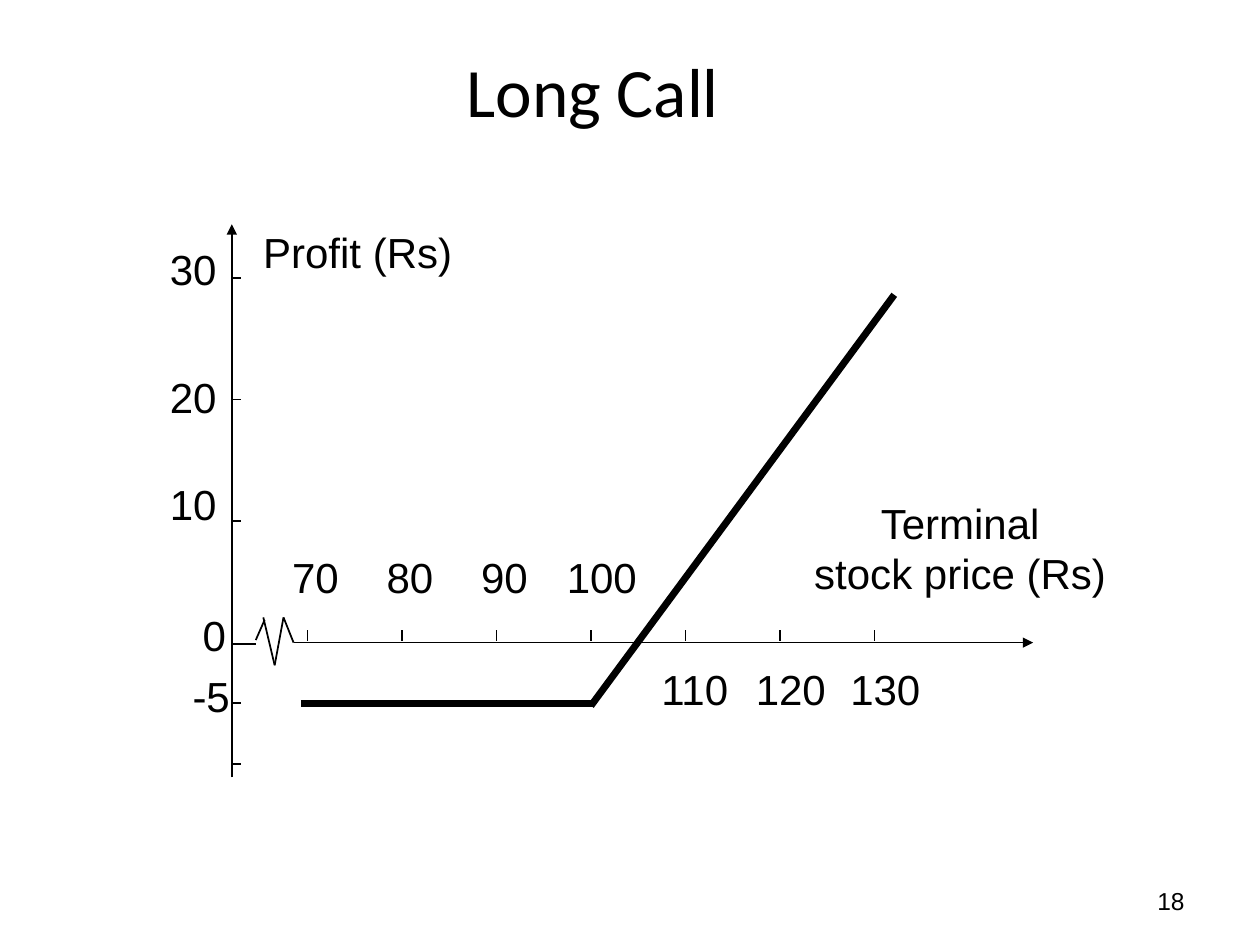
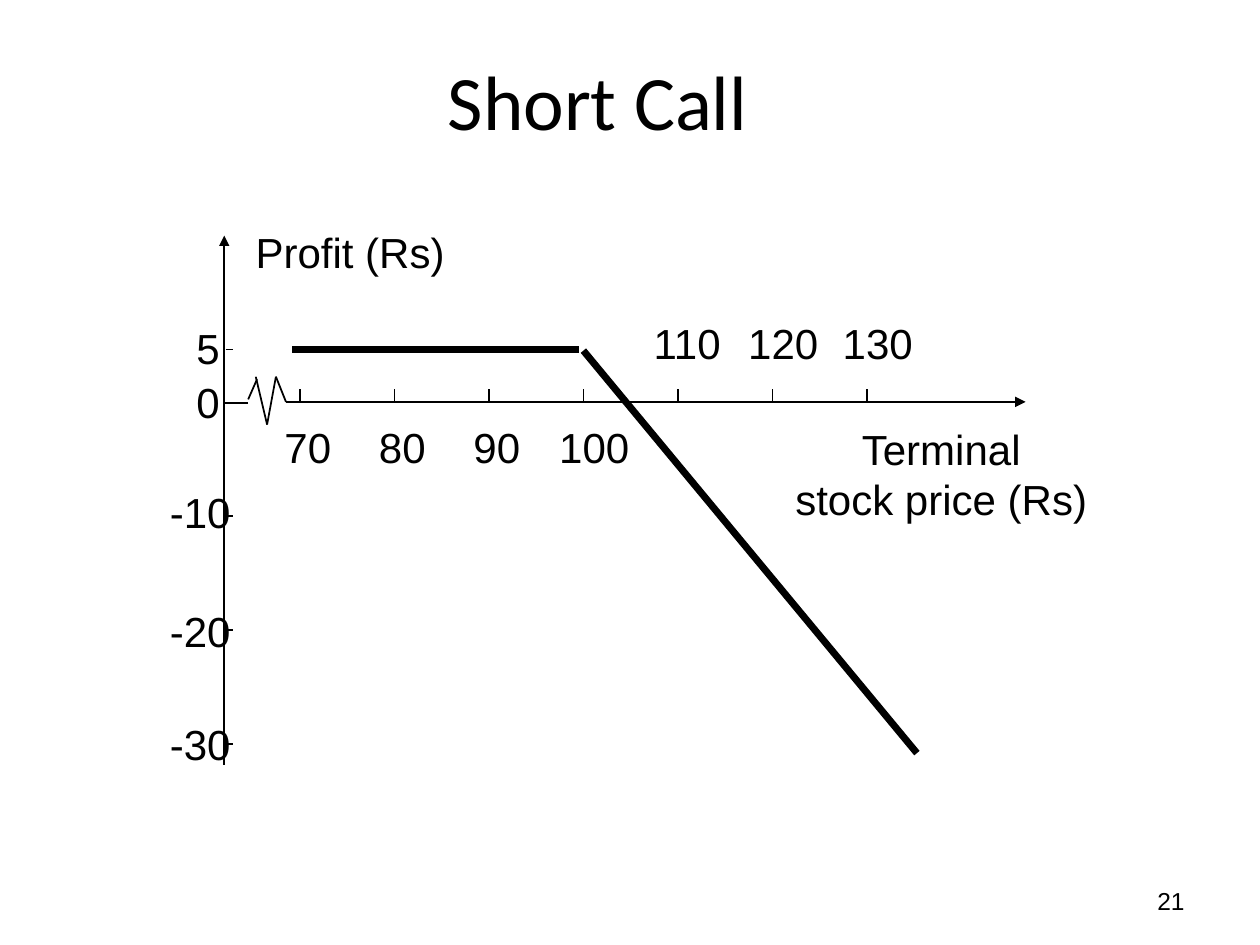
import dataclasses
import pptx
import pptx.util
import pptx.dml.color
import pptx.enum.shapes
import pptx.enum.text
import pptx.oxml.ns
import lxml.etree

ALIGN = pptx.enum.text.PP_ALIGN
ANCHOR = pptx.enum.text.MSO_ANCHOR


@dataclasses.dataclass(frozen=True)
class Theme:
    ink: str = "000000"
    paper: str = "FFFFFF"
    head: str = "Calibri"
    body: str = "Arial"
    label: float = 24
    page: float = 14
    thin: float = 1
    thick: float = 4


THEME = Theme()

# The slide is a grid of square cells, 10 columns by 7.5 rows
COLS, ROWS = 10, 7.5
CELL = pptx.util.Inches(1)

# Measures of every plot, in cells
STEP = 0.75            # between two price ticks
FIRST = 0.6            # from profit axis to first price
PRICES = range(70, 140, 10)
REACH = 6.36           # from profit axis to arrow tip
# Strokes of the axis break, from the crossing of the axes
BREAK = [((0.49, 0), (0.41, -0.2)), ((0.41, -0.2), (0.34, 0.18)),
         ((0.34, 0.18), (0.25, -0.2)), ((0.26, -0.18), (0.19, -0.02)),
         ((0.19, 0.01), (0, 0.01))]


@dataclasses.dataclass
class Plot:
    left: float        # column of the profit axis
    zero: float        # row of the price axis
    unit: float        # rows for one rupee of profit
    top: float
    foot: float
    ticks: list        # profits marked on the axis
    marks: list        # (text, column, row, width) of profit labels
    low: float         # rows from price axis to labels up to 100
    high: float        # rows from price axis to labels above 100
    note: tuple        # column and row of the price axis title
    pay: list          # payoff strokes as (price, profit) pairs

    def col(self, price):
        return self.left + FIRST + (price - PRICES[0]) / 10 * STEP

    def row(self, profit):
        return self.zero - profit * self.unit


def cells(*sizes):
    return [round(size * CELL) for size in sizes]


def write(slide, text, box, size=THEME.label, font=THEME.body,
          align=ALIGN.LEFT, anchor=ANCHOR.TOP, wrap=False):
    frame = slide.shapes.add_textbox(*cells(*box)).text_frame
    frame.text = text
    frame.word_wrap = wrap
    frame.vertical_anchor = anchor
    for para in frame.paragraphs:
        para.alignment = align
        for run in para.runs:
            run.font.size = pptx.util.Pt(size)
            run.font.name = font
            run.font.color.rgb = pptx.dml.color.RGBColor.from_string(THEME.ink)


def stroke(slide, start, end, width=THEME.thin, arrow=False):
    kind = pptx.enum.shapes.MSO_CONNECTOR.STRAIGHT
    line = slide.shapes.add_connector(kind, *cells(*start, *end))
    line.line.width = pptx.util.Pt(width)
    line.line.color.rgb = pptx.dml.color.RGBColor.from_string(THEME.ink)
    qn = pptx.oxml.ns.qn
    if arrow:
        lxml.etree.SubElement(line.line._get_or_add_ln(), qn("a:tailEnd"),
                              type="triangle")
    lxml.etree.SubElement(line._element.spPr, qn("a:effectLst"))


def axes(slide, plot):
    left, zero = plot.left, plot.zero
    stroke(slide, (left, plot.foot), (left, plot.top), arrow=True)
    stroke(slide, (left + BREAK[0][0][0], zero), (left + REACH, zero),
           arrow=True)
    for start, end in BREAK:
        stroke(slide, *[(left + x, zero + y) for x, y in (start, end)])
    for price in PRICES:
        x = plot.col(price)
        stroke(slide, (x, zero - 0.1), (x, zero - 0.01))
    for profit in plot.ticks:
        y = plot.row(profit)
        stroke(slide, (left + 0.01, y), (left + 0.07, y))


def labels(slide, plot):
    tall = 0.6
    for text, col, row, wide in plot.marks:
        write(slide, text, (col, row, wide, tall))
    for price in PRICES:
        shift, wide = (0.22, 0.57) if price < 100 else (0.29, 0.76)
        drop = plot.low if price <= 100 else plot.high
        write(slide, str(price),
              (plot.col(price) - shift, plot.zero + drop, wide, tall))
    write(slide, "Profit (Rs)", (plot.left + 0.15, 1.75, 1.72, tall))
    write(slide, "Terminal\nstock price (Rs)", (*plot.note, 2.54, 1.1),
          align=ALIGN.CENTER)


def page(deck, title, box, size, number, plot):
    slide = deck.slides.add_slide(deck.slide_layouts[6])
    fill = slide.background.fill
    fill.solid()
    fill.fore_color.rgb = pptx.dml.color.RGBColor.from_string(THEME.paper)
    # Title and page number
    write(slide, title, box, size, THEME.head, ALIGN.CENTER, ANCHOR.MIDDLE,
          True)
    write(slide, number, (7.17, 6.95, 2.33, 0.4), THEME.page,
          align=ALIGN.RIGHT, anchor=ANCHOR.MIDDLE, wrap=True)
    # Payoff diagram
    axes(slide, plot)
    for ends in plot.pay:
        stroke(slide, *[(plot.col(x), plot.row(y)) for x, y in ends],
               width=THEME.thick)
    labels(slide, plot)


def main():
    deck = pptx.Presentation()
    deck.slide_width, deck.slide_height = cells(COLS, ROWS)

    # Buyer of a call: loss limited to the premium
    long = Plot(
        left=1.84, zero=5.1, unit=0.1 * 0.965, top=1.78, foot=6.17,
        ticks=[30, 20, 10, -5, -10],
        marks=[("30", 1.25, 1.88, 0.57), ("20", 1.25, 2.9, 0.57),
               ("10", 1.25, 3.75, 0.57), ("0", 1.51, 4.79, 0.38),
               ("-5", 1.43, 5.27, 0.53)],
        low=-0.77, high=0.12, note=(6.35, 3.9),
        pay=[((69.3, -5), (100.3, -5)), ((100, -5.2), (132.1, 28.6))])
    page(deck, "Long Call", (0.83, 0.42, 7.75, 0.58), 39.6, "18", long)

    # Writer of a call: gain limited to the premium
    short = Plot(
        left=1.78, zero=3.19, unit=0.1 * 0.905, top=1.87, foot=6.07,
        ticks=[4.6, -10, -20, -30],
        marks=[("5", 1.46, 2.51, 0.38), ("0", 1.46, 2.94, 0.38),
               ("-10", 1.25, 3.81, 0.72), ("-20", 1.25, 4.76, 0.72),
               ("-30", 1.25, 5.65, 0.72)],
        low=0.11, high=-0.72, note=(6.2, 3.31),
        pay=[((69.2, 4.6), (99.5, 4.6)), ((100, 4.5), (135.3, -30.8))])
    page(deck, "Short Call", (0.83, 0.33, 7.83, 0.92), 44, "21", short)

    deck.save("out.pptx")


if __name__ == "__main__":
    main()
